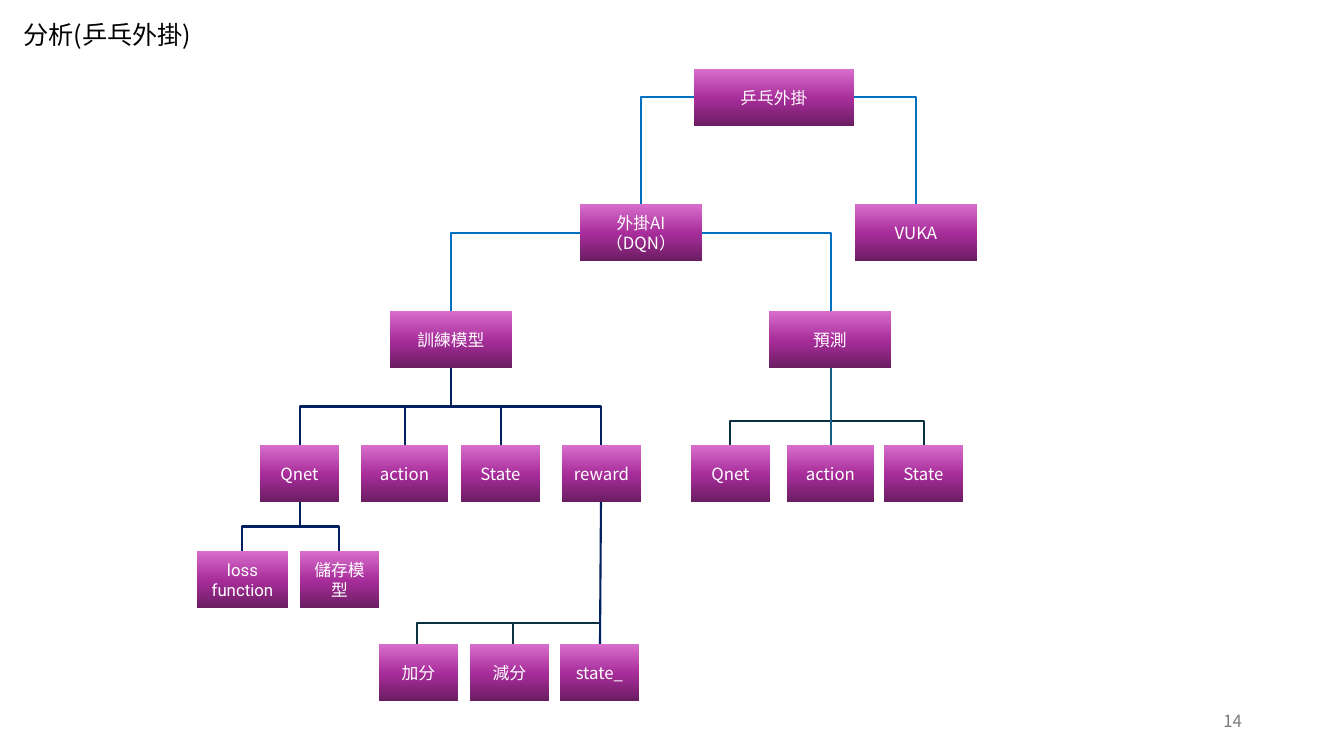
from copy import deepcopy

from lxml.etree import SubElement
from pptx import Presentation
from pptx.dml.color import RGBColor
from pptx.enum.shapes import MSO_CONNECTOR as CONNECTOR, MSO_SHAPE as SHAPE
from pptx.enum.text import MSO_ANCHOR as ANCHOR, MSO_AUTO_SIZE as AUTO_SIZE, PP_ALIGN as ALIGN
from pptx.oxml.ns import qn
from pptx.util import Pt

PX = 914400 / 100.8
BOX_HEIGHT = 57
CJK_FONT = "Noto Sans CJK SC"
COLORS = {
    "black": "000000", "white": "FFFFFF", "gray": "797979",
    "blue": "0070C0", "navy": "002060", "teal": "156082", "dark": "0B3041",
    "plum": "6B1D62", "purple": "A72D9A", "pink": "D86ECC",
}
GRADIENT = [(0, "plum"), (0.48, "purple"), (1, "pink")]

# Row top: (text, left, width) of each box
BOX_ROWS = {
    69: [("乒乓外掛", 694, 160)],
    204: [("外掛AI（DQN）", 580, 122), ("VUKA", 855, 122)],
    311: [("訓練模型", 390, 122), ("預測", 769, 122)],
    445: [("Qnet", 260, 79), ("action", 361, 87), ("State", 461, 79), ("reward", 562, 79),
          ("Qnet", 691, 79), ("action", 787, 87), ("State", 884, 79)],
    551: [("loss function", 197, 91), ("儲存模型", 300, 79)],
    644: [("加分", 379, 79), ("減分", 470, 79), ("state_", 560, 79)],
}
# Lines that leave sideways and then turn down
SIDE_BRANCHES = [
    ((694, 97), (641, 204), "blue"), ((854, 97), (916, 204), "blue"),
    ((580, 233), (451, 311), "blue"), ((702, 233), (831, 311), "blue"),
    ((601, 623), (513, 644), "dark"), ((513, 623), (417, 644), "dark"),
    ((831, 421), (924, 445), "dark"), ((831, 421), (730, 445), "dark"),
]
# Parent bottom and the tops of its children
FORKS = [((451, 368), 445, [300, 405, 501, 601]), ((300, 502), 551, [242, 339])]
STRAIGHT_LINES = [((601, 502), (600, 644), "navy"), ((831, 368), (831, 445), "teal")]


def write_text(shape, text, color, size=12, font_name=CJK_FONT, align=ALIGN.CENTER, anchor=ANCHOR.MIDDLE):
    frame = shape.text_frame
    frame.word_wrap = True
    frame.vertical_anchor = anchor
    paragraph = frame.paragraphs[0]
    paragraph.alignment = align
    run = paragraph.add_run()
    run.text = text
    for name, value in {"name": font_name, "size": Pt(size), "bold": False}.items():
        setattr(run.font, name, value)
    run.font.color.rgb = RGBColor.from_string(COLORS[color])
    SubElement(run.font._element, qn("a:ea")).set("typeface", font_name)


def draw_line(kind, start, end, color):
    ends = [round(value * PX) for value in (*start, *end)]
    connector = slide.shapes.add_connector(kind, *ends)
    connector.line.width = Pt(1.5)
    connector.line.color.rgb = RGBColor.from_string(COLORS[color])
    SubElement(connector._element.spPr, qn("a:effectLst"))
    return connector


presentation = Presentation()
presentation.slide_width = round(1344 * PX)
presentation.slide_height = round(756 * PX)
slide = presentation.slides.add_slide(presentation.slide_layouts[5])

for start, end, color in SIDE_BRANCHES:
    branch = draw_line(CONNECTOR.ELBOW, start, end, color)
    branch._element.spPr.find(qn("a:prstGeom")).set("prst", "bentConnector2")

for (parent_x, parent_y), child_y, child_xs in FORKS:
    for child_x in child_xs:
        # An elbow leaves sideways, so lay it flat around its centre and turn it upright
        center_x, center_y = (parent_x + child_x) / 2, (parent_y + child_y) / 2
        to_right = child_x > parent_x
        half_length = (child_y - parent_y) / 2 * (-1 if to_right else 1)
        half_spread = abs(child_x - parent_x) / 2
        fork = draw_line(CONNECTOR.ELBOW, (center_x - half_length, center_y - half_spread),
                         (center_x + half_length, center_y + half_spread), "navy")
        degrees = 270 if to_right else 90
        fork._element.spPr.find(qn("a:xfrm")).set("rot", str(degrees * 60000))

for start, end, color in STRAIGHT_LINES:
    draw_line(CONNECTOR.STRAIGHT, start, end, color)

for top, boxes in BOX_ROWS.items():
    for text, left, width in boxes:
        area = [round(value * PX) for value in (left, top, width, BOX_HEIGHT)]
        box = slide.shapes.add_shape(SHAPE.RECTANGLE, *area)
        box.shadow.inherit = False
        box.line.fill.background()
        box.fill.gradient()
        box.fill.gradient_angle = 90
        stop_list = box._element.spPr.find(".//" + qn("a:gsLst"))
        stop_list.append(deepcopy(stop_list[0]))
        for stop, (position, color) in zip(box.fill.gradient_stops, GRADIENT):
            stop.position = position
            stop.color.rgb = RGBColor.from_string(COLORS[color])
        write_text(box, text, "white", font_name="Roboto" if text == "loss function" else CJK_FONT)

title = slide.shapes.title
title_area = {"left": 13, "top": 14, "width": 672, "height": 40}
for name, value in title_area.items():
    setattr(title, name, round(value * PX))
write_text(title, "分析(乒乓外掛)", "black", size=18, align=ALIGN.LEFT, anchor=ANCHOR.TOP)
title.text_frame.auto_size = AUTO_SIZE.SHAPE_TO_FIT_TEXT

number_area = [round(value * PX) for value in (950, 701, 302, 40)]
slide_number = slide.shapes.add_textbox(*number_area)
write_text(slide_number, "14", "gray", align=ALIGN.RIGHT)

presentation.save("out.pptx")
